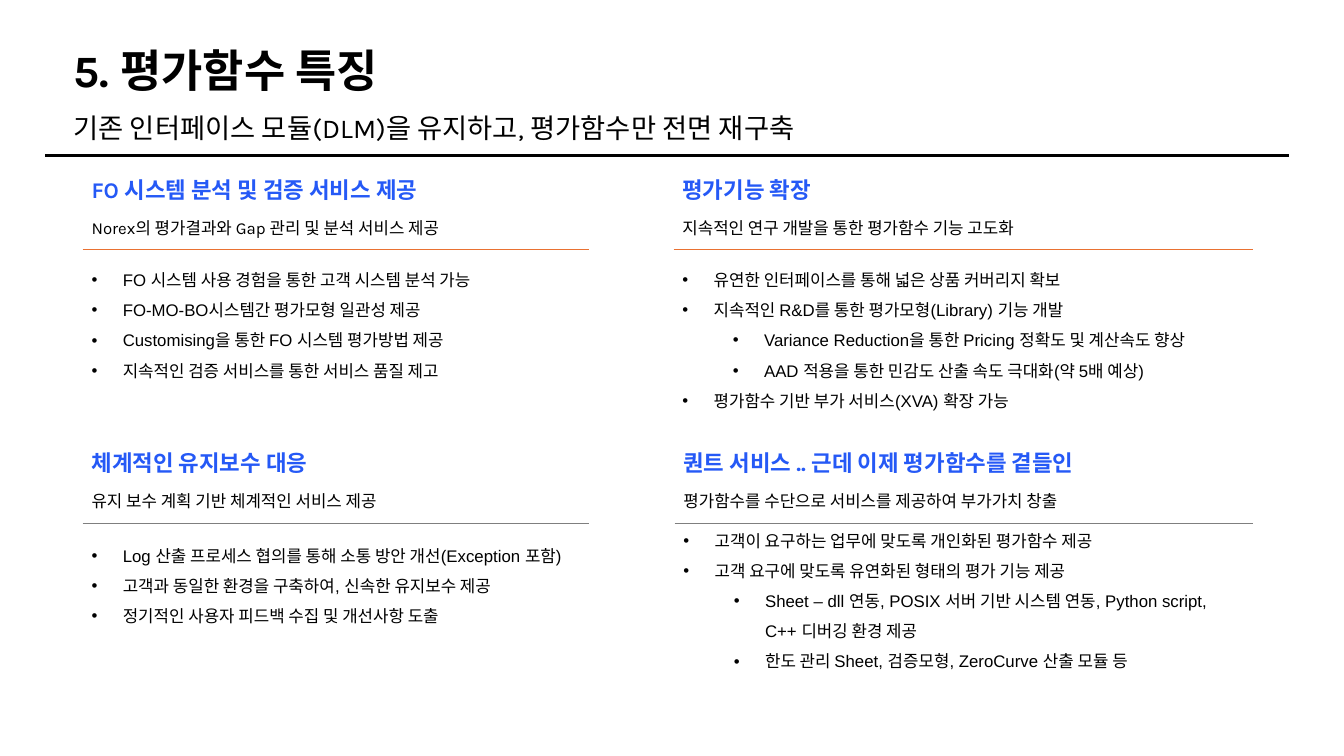
from lxml import etree
from pptx import Presentation
from pptx import util as u
from pptx.dml.color import RGBColor
from pptx.enum import shapes, text
from pptx.oxml.ns import qn


def rgb(value):
    return RGBColor.from_string(value)


class Deck:
    INK, BLUE, ORANGE, GREY = "000000", "2559F6", "E97132", "7F7F7F"
    TITLE = dict(name="Karla", size=u.Pt(32), bold=True)
    SUBTITLE = dict(name="Karla", size=u.Pt(19.5))
    HEADING = dict(name="Karla", size=u.Pt(16), bold=True)
    CAPTION = dict(name="Karla", size=u.Pt(12), bold=False)
    BODY = dict(name="Arial", size=u.Pt(12))

    def __init__(self, prs):
        self.s = prs.slides.add_slide(prs.slide_layouts[6])

    def frame(self, x, y, w, h):
        """Add a wrapped, vertically centred text box and return its text frame."""
        sp = self.s.shapes.add_textbox(*map(u.Inches, (x, y, w, h)))
        tf = sp.text_frame
        tf.word_wrap = True
        tf.vertical_anchor = text.MSO_ANCHOR.MIDDLE
        return tf

    def add_words(self, p, words, style, color=INK, **spacing):
        r = p.add_run()
        r.text = words
        for key, value in style.items():
            setattr(r.font, key, value)
        r.font.color.rgb = rgb(color)
        for key, value in spacing.items():
            setattr(p, key, value)

    def line_of_text(self, box, words, style):
        self.add_words(self.frame(*box).paragraphs[0], words, style, line_spacing=0.9)

    def heading(self, x, y, title, caption):
        tf = self.frame(x, y, 4.77, 0.68)
        self.add_words(tf.paragraphs[0], title, self.HEADING, self.BLUE)
        self.add_words(tf.add_paragraph(), caption, self.CAPTION,
                       space_before=u.Pt(10.5))

    def bullets(self, box, items):
        """Add a list of (level, words) pairs."""
        tf = self.frame(*box)
        for i, (level, words) in enumerate(items):
            p = tf.add_paragraph() if i else tf.paragraphs[0]
            self.add_words(p, words, self.BODY, level=level, line_spacing=1.5)
            pPr = p._p.get_or_add_pPr()
            pPr.set("marL", str(u.Inches(0.31 + 0.5 * level)))
            pPr.set("indent", str(u.Inches(-0.31)))
            etree.SubElement(pPr, qn("a:buFont")).set("typeface", "Arial")
            etree.SubElement(pPr, qn("a:buChar")).set("char", "•")

    def rule(self, x1, x2, y, color, width):
        ends = map(u.Inches, (x1, y, x2, y))
        c = self.s.shapes.add_connector(shapes.MSO_CONNECTOR.STRAIGHT, *ends)
        c.line.color.rgb = rgb(color)
        c.line.width = u.Pt(width)
        etree.SubElement(c._element.spPr, qn("a:effectLst"))


# heading position, heading, caption, rule (right end, colour), list box, list
SECTIONS = [
    ((0.81, 1.71), "FO 시스템 분석 및 검증 서비스 제공",
     "Norex의 평가결과와 Gap 관리 및 분석 서비스 제공",
     (5.84, Deck.ORANGE), (0.81, 2.55, 5.03, 1.25), [
         (0, "FO 시스템 사용 경험을 통한 고객 시스템 분석 가능"),
         (0, "FO-MO-BO시스템간 평가모형 일관성 제공"),
         (0, "Customising을 통한 FO 시스템 평가방법 제공"),
         (0, "지속적인 검증 서비스를 통한 서비스 품질 제고")]),
    ((6.67, 1.71), "평가기능 확장",
     "지속적인 연구 개발을 통한 평가함수 기능 고도화",
     (12.43, Deck.ORANGE), (6.67, 2.49, 5.69, 1.67), [
         (0, "유연한 인터페이스를 통해 넓은 상품 커버리지 확보"),
         (0, "지속적인 R&D를 통한 평가모형(Library) 기능 개발"),
         (1, "Variance Reduction을 통한 Pricing 정확도 및 계산속도 향상"),
         (1, "AAD 적용을 통한 민감도 산출 속도 극대화(약 5배 예상)"),
         (0, "평가함수 기반 부가 서비스(XVA) 확장 가능")]),
    ((0.81, 4.42), "체계적인 유지보수 대응",
     "유지 보수 계획 기반 체계적인 서비스 제공",
     (5.84, Deck.GREY), (0.81, 5.2, 5.25, 1.12), [
         (0, "Log 산출 프로세스 협의를 통해 소통 방안 개선(Exception 포함)"),
         (0, "고객과 동일한 환경을 구축하여, 신속한 유지보수 제공"),
         (0, "정기적인 사용자 피드백 수집 및 개선사항 도출")]),
    ((6.68, 4.42), "퀀트 서비스 .. 근데 이제 평가함수를 곁들인",
     "평가함수를 수단으로 서비스를 제공하여 부가가치 창출",
     (12.43, Deck.GREY), (6.68, 5.2, 5.55, 1.42), [
         (0, "고객이 요구하는 업무에 맞도록 개인화된 평가함수 제공"),
         (0, "고객 요구에 맞도록 유연화된 형태의 평가 기능 제공"),
         (1, "Sheet – dll 연동, POSIX 서버 기반 시스템 연동, Python script, "
             "C++ 디버깅 환경 제공"),
         (1, "한도 관리 Sheet, 검증모형, ZeroCurve 산출 모듈 등")]),
]


def main():
    prs = Presentation()
    prs.slide_width, prs.slide_height = u.Inches(13.33), u.Inches(7.5)
    deck = Deck(prs)
    deck.line_of_text((0.63, 0.4, 11.1, 0.65), "5. 평가함수 특징", Deck.TITLE)
    deck.rule(0.45, 12.78, 1.54, Deck.INK, 2.25)
    deck.line_of_text((0.63, 1.07, 11.04, 0.43),
                      "기존 인터페이스 모듈(DLM)을 유지하고, 평가함수만 전면 재구축",
                      Deck.SUBTITLE)
    for (x, y), title, caption, (right, color), box, items in SECTIONS:
        deck.bullets(box, items)
        deck.heading(x, y, title, caption)
        deck.rule(x + 0.01, right, y + 0.77, color, 0.75)
    prs.save("out.pptx")


if __name__ == "__main__":
    main()
